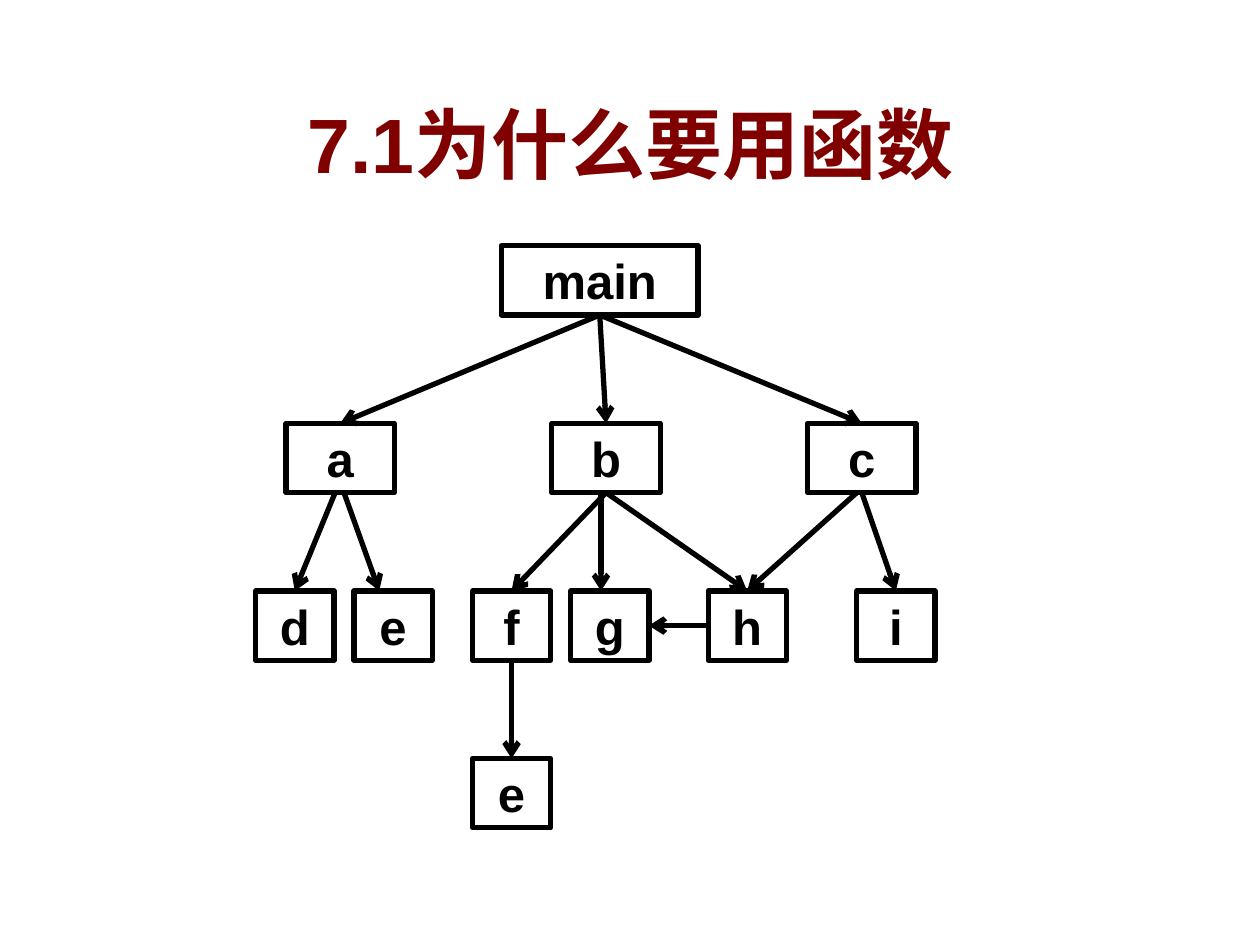
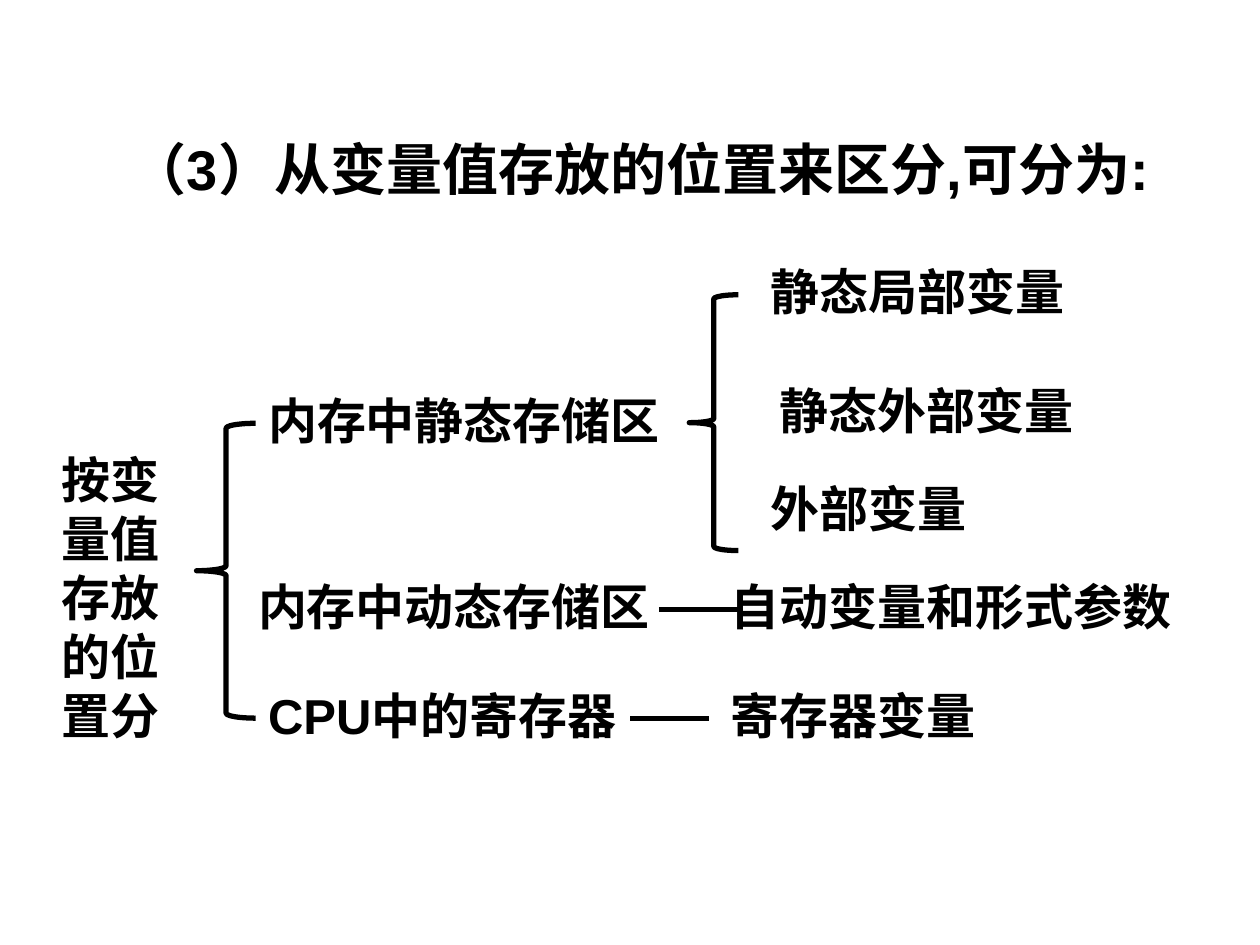
from dataclasses import dataclass

import pptx
import pptx.dml.color
import pptx.enum.shapes
import pptx.enum.text
import pptx.oxml
import pptx.oxml.ns
import pptx.util
from lxml import etree

Inches = pptx.util.Inches
SHAPES = pptx.enum.shapes.MSO_SHAPE
ALIGN = pptx.enum.text.PP_ALIGN
ANCHOR = pptx.enum.text.MSO_ANCHOR
AUTO_SIZE = pptx.enum.text.MSO_AUTO_SIZE
TOP, LEFT, BOTTOM, RIGHT = range(4)


@dataclass(frozen=True)
class Theme:
    font: str = "Arial"
    ink: str = "000000"
    paper: str = "FFFFFF"
    title_color: str = "800000"
    title_shadow: str = "DDDDDD"
    title_size: int = 44
    heading_size: int = 32
    body_size: int = 28
    line_width: int = 3


def rgb(value):
    return pptx.dml.color.RGBColor.from_string(value)


class Deck:
    """Holds the style and the current slide."""

    def __init__(self, theme):
        self.theme = theme
        self.presentation = pptx.Presentation()
        self.presentation.slide_width = Inches(10)
        self.presentation.slide_height = Inches(7.5)
        self.slide = None

    def new_slide(self):
        blank = self.presentation.slide_layouts[6]
        self.slide = self.presentation.slides.add_slide(blank)
        fill = self.slide.background.fill
        fill.solid()
        fill.fore_color.rgb = rgb(self.theme.paper)

    def set_words(self, frame, words, size, color, align):
        paragraph = frame.paragraphs[0]
        paragraph.text = words
        paragraph.alignment = align
        font = paragraph.font
        font.name, font.size, font.bold = self.theme.font, pptx.util.Pt(size), True
        font.color.rgb = rgb(color)
        return paragraph

    def label(self, words, left, top, width, height=0.57, size=None):
        frame = self.slide.shapes.add_textbox(
            Inches(left), Inches(top), Inches(width), Inches(height)).text_frame
        frame.word_wrap = True
        frame.auto_size = AUTO_SIZE.SHAPE_TO_FIT_TEXT
        self.set_words(frame, words, size or self.theme.body_size,
                       self.theme.ink, ALIGN.LEFT)

    def title(self, words):
        frame = self.slide.shapes.add_textbox(
            Inches(0.16), Inches(0.71), Inches(9.69), Inches(0.84)).text_frame
        frame.word_wrap = True
        frame.vertical_anchor = ANCHOR.MIDDLE
        paragraph = self.set_words(frame, words, self.theme.title_size,
                                   self.theme.title_color, ALIGN.CENTER)
        # Soft offset shadow behind the letters
        run = paragraph.runs[0]
        run.font.color.rgb = rgb(self.theme.title_color)
        run._r.get_or_add_rPr().append(pptx.oxml.parse_xml(
            f'<a:effectLst {pptx.oxml.ns.nsdecls("a")}>'
            '<a:outerShdw dist="35921" dir="2700000">'
            f'<a:srgbClr val="{self.theme.title_shadow}"/>'
            '</a:outerShdw></a:effectLst>'))

    def outline(self, kind, left, top, width, height):
        shape = self.slide.shapes.add_shape(
            kind, Inches(left), Inches(top), Inches(width), Inches(height))
        shape.shadow.inherit = False
        shape.fill.solid()
        shape.fill.fore_color.rgb = rgb(self.theme.paper)
        self.ink_line(shape.line)
        return shape

    def ink_line(self, line):
        line.color.rgb = rgb(self.theme.ink)
        line.width = pptx.util.Pt(self.theme.line_width)

    def function_box(self, name, center, top, width):
        box = self.outline(SHAPES.FLOWCHART_PROCESS, center - width / 2, top, width, 0.55)
        frame = box.text_frame
        frame.margin_left = frame.margin_right = frame.margin_top = frame.margin_bottom = 0
        frame.word_wrap = False
        frame.vertical_anchor = ANCHOR.MIDDLE
        self.set_words(frame, name, self.theme.body_size, self.theme.ink, ALIGN.CENTER)
        return box

    def brace(self, left, top, width, height):
        self.outline(SHAPES.LEFT_BRACE, left, top, width, height)

    def connect(self, start, end, arrow=False):
        """Each end is either (x, y) in inches or (box, side)."""
        line = self.slide.shapes.add_connector(
            pptx.enum.shapes.MSO_CONNECTOR.STRAIGHT, 0, 0, 0, 0)
        anchor, place = start
        if isinstance(anchor, (int, float)):
            line.begin_x, line.begin_y = Inches(anchor), Inches(place)
        else:
            line.begin_connect(anchor, place)
        anchor, place = end
        if isinstance(anchor, (int, float)):
            line.end_x, line.end_y = Inches(anchor), Inches(place)
        else:
            line.end_connect(anchor, place)
        self.ink_line(line.line)
        if arrow:
            etree.SubElement(line.line._get_or_add_ln(),
                             pptx.oxml.ns.qn("a:tailEnd"), type="arrow")
        etree.SubElement(line._element.spPr, pptx.oxml.ns.qn("a:effectLst"))


def call_tree(deck):
    deck.new_slide()
    deck.title("7.1为什么要用函数")

    # Functions by level: top, box width, then key and centre of each
    levels = [
        (1.95, 1.56, {"main": 4.76}),
        (3.36, 0.86, {"a": 2.7, "b": 4.81, "c": 6.84}),
        (4.69, 0.62, {"d": 2.34, "e": 3.12, "f": 4.06, "g": 4.84, "h": 5.93, "i": 7.11}),
        (6.02, 0.62, {"e under f": 4.06}),
    ]
    boxes = {}
    for top, width, centers in levels:
        for key, center in centers.items():
            boxes[key] = deck.function_box(key.split()[0], center, top, width)

    # Calls that run from bottom middle to top middle
    calls = [("main", "a"), ("main", "b"), ("main", "c"), ("b", "f"),
             ("b", "h"), ("c", "i"), ("f", "e under f")]
    for caller, callee in calls:
        deck.connect((boxes[caller], BOTTOM), (boxes[callee], TOP), arrow=True)

    # Calls that leave or arrive beside the middle, and the sideways call
    caller_bottom, callee_top = 3.91, 4.69
    deck.connect((2.66, caller_bottom), (boxes["d"], TOP), arrow=True)
    deck.connect((2.73, caller_bottom), (3.01, callee_top), arrow=True)
    deck.connect((4.77, caller_bottom), (4.77, callee_top), arrow=True)
    deck.connect((6.8, caller_bottom), (boxes["h"], TOP), arrow=True)
    deck.connect((boxes["h"], LEFT), (boxes["g"], RIGHT), arrow=True)


def storage_classes(deck):
    deck.new_slide()
    deck.label("（3）从变量值存放的位置来区分,可分为:", 0.94, 1.02, 8.44, 0.64,
               size=deck.theme.heading_size)

    # Root and its storage areas
    deck.label("按变量值存放的位置分", 0.39, 3.52, 1.09, 2.46)
    deck.brace(1.56, 3.36, 0.47, 2.34)
    deck.brace(5.47, 2.34, 0.39, 2.03)
    entries = [
        ("内存中静态存储区", 2.03, 3.05, 3.52),
        ("内存中动态存储区", 1.95, 4.53, 3.44),
        ("CPU中的寄存器", 2.03, 5.39, 3.36),
        # Variables kept in each area
        ("静态局部变量", 6.02, 2.03, 2.81),
        ("静态外部变量", 6.09, 2.97, 2.66),
        ("外部变量", 6.02, 3.75, 2.19),
        ("自动变量和形式参数", 5.7, 4.53, 3.91),
        ("寄存器变量", 5.7, 5.39, 2.66),
    ]
    for words, left, top, width in entries:
        deck.label(words, left, top, width)

    # Links from area to variables
    for left, y in ((5.23, 4.84), (5, 5.7)):
        deck.connect((left, y), (left + 0.63, y))


def main():
    deck = Deck(Theme())
    call_tree(deck)
    storage_classes(deck)
    deck.presentation.save("out.pptx")


if __name__ == "__main__":
    main()
